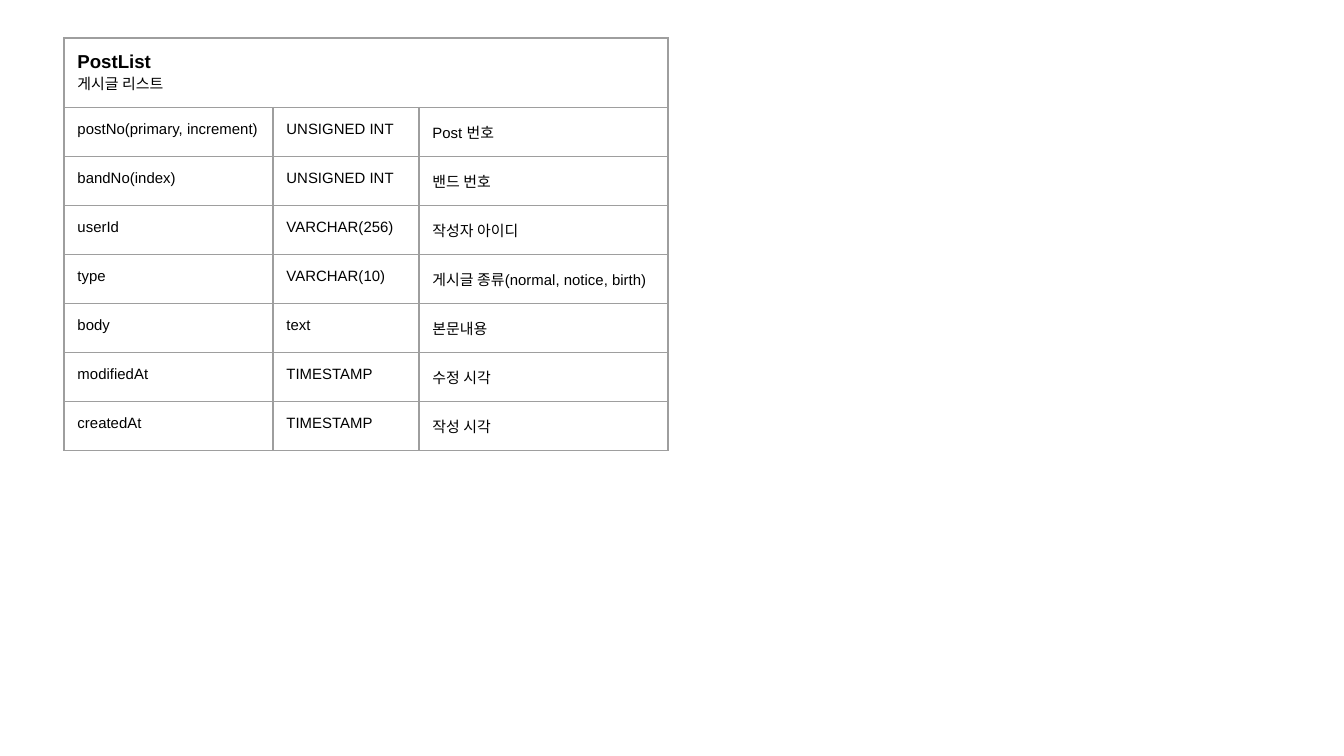
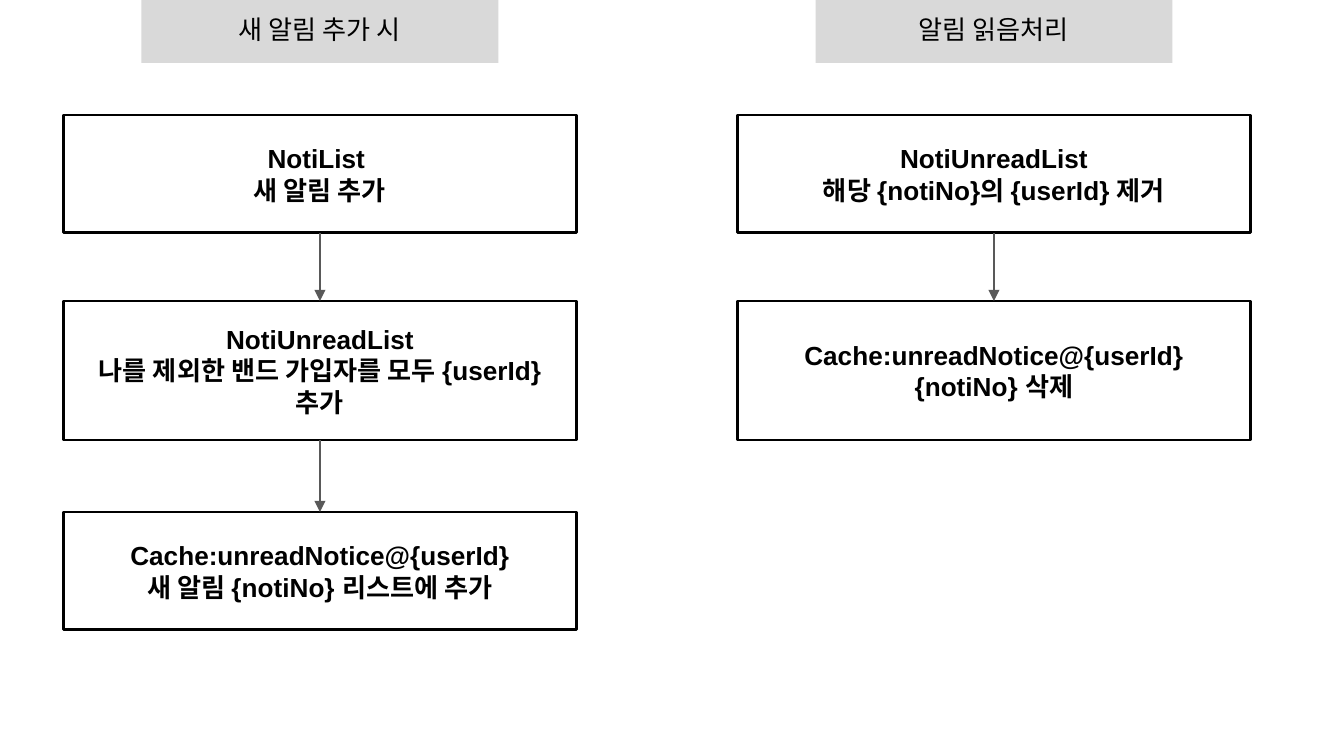
from itertools import pairwise
from lxml import etree
from pptx import Presentation, util as u
from pptx.dml.color import RGBColor
from pptx.enum import shapes, text
from pptx.oxml import parse_xml
from pptx.oxml.ns import nsdecls, qn

SCALE = 914400 / 134.4
FONT = "Arial"
BLACK, BAND, ARROW, GRID = "000000", "D9D9D9", "595959", "9E9E9E"
INSET = u.Inches(0.1)


def px(value):
    return u.Emu(round(value * SCALE))


def write(frame, lines, sizes, bolds, align):
    frame.word_wrap = True
    frame.text = "\n".join(lines)
    for paragraph, size, bold in zip(frame.paragraphs, sizes, bolds):
        paragraph.alignment = align
        paragraph.font.name = FONT
        paragraph.font.size = u.Pt(size)
        paragraph.font.bold = bold
        paragraph.font.color.rgb = RGBColor.from_string(BLACK)


presentation = Presentation()
presentation.slide_width = px(1344)
presentation.slide_height = px(756)
blank = presentation.slide_layouts[6]

fields = [
    ("postNo(primary, increment)", "UNSIGNED INT", "Post 번호"),
    ("bandNo(index)", "UNSIGNED INT", "밴드 번호"),
    ("userId", "VARCHAR(256)", "작성자 아이디"),
    ("type", "VARCHAR(10)", "게시글 종류(normal, notice, birth)"),
    ("body", "text", "본문내용"),
    ("modifiedAt", "TIMESTAMP", "수정 시각"),
    ("createdAt", "TIMESTAMP", "작성 시각"),
]
column_widths = [209, 146, 249]
row_height = 49

slide = presentation.slides.add_slide(blank)
row_count = len(fields) + 1
table = slide.shapes.add_table(
    row_count, 3, px(64), px(38), px(sum(column_widths)), px(row_height * row_count)
).table
table.first_row = False
table.horz_banding = False
for column, width in zip(table.columns, column_widths):
    column.width = px(width)
for row in table.rows:
    row.height = px(row_height)
table.cell(0, 0).merge(table.cell(0, 2))

for cell in table.iter_cells():
    cell.fill.background()
    cell.margin_left = cell.margin_right = INSET
    cell.margin_top = cell.margin_bottom = INSET
    properties = cell._tc.get_or_add_tcPr()
    for position, side in enumerate(["lnL", "lnR", "lnT", "lnB"]):
        properties.insert(position, parse_xml(
            f'<a:{side} {nsdecls("a")} w="9525"><a:solidFill>'
            f'<a:srgbClr val="{GRID}"/></a:solidFill></a:{side}>'
        ))

left = text.PP_ALIGN.LEFT
write(table.cell(0, 0).text_frame, ["PostList", "게시글 리스트"], [10, 8], [True, False], left)
for row_index, field in enumerate(fields, 1):
    for column_index, value in enumerate(field):
        write(table.cell(row_index, column_index).text_frame, [value], [8], [False], left)

flows = [
    ("새 알림 추가 시", [
        ["NotiList ", "새 알림 추가"],
        ["NotiUnreadList", "나를 제외한 밴드 가입자를 모두 {userId} 추가"],
        ["Cache:unreadNotice@{userId}", "새 알림 {notiNo} 리스트에 추가"],
    ]),
    ("알림 읽음처리", [
        ["NotiUnreadList", "해당 {notiNo}의 {userId} 제거"],
        ["Cache:unreadNotice@{userId}", "{notiNo} 삭제"],
    ]),
]
centers = [320, 994]
title_width, title_height, step_width = 357, 63, 513
step_spans = [(115, 118), (301, 139), (512, 118)]

slide = presentation.slides.add_slide(blank)
for center, (title, steps) in zip(centers, flows):
    boxes = [([title], title_width, 0, title_height, True)]
    boxes += [(lines, step_width, top, height, False)
              for lines, (top, height) in zip(steps, step_spans)]
    for lines, width, top, height, is_title in boxes:
        shape = slide.shapes.add_shape(
            shapes.MSO_SHAPE.RECTANGLE, px(center - width / 2), px(top), px(width), px(height)
        )
        shape.shadow.inherit = False
        if is_title:
            shape.fill.solid()
            shape.fill.fore_color.rgb = RGBColor.from_string(BAND)
            shape.line.fill.background()
        else:
            shape.fill.background()
            shape.line.color.rgb = RGBColor.from_string(BLACK)
            shape.line.width = u.Pt(1.5)
        frame = shape.text_frame
        frame.margin_left = frame.margin_right = INSET
        frame.margin_top = frame.margin_bottom = INSET
        frame.vertical_anchor = text.MSO_ANCHOR.TOP if is_title else text.MSO_ANCHOR.MIDDLE
        write(frame, lines, [14, 14], [not is_title] * 2, text.PP_ALIGN.CENTER)

    for (top, height), (next_top, _) in pairwise(step_spans[:len(steps)]):
        arrow = slide.shapes.add_connector(
            shapes.MSO_CONNECTOR.STRAIGHT, px(center), px(top + height), px(center), px(next_top)
        )
        arrow.line.color.rgb = RGBColor.from_string(ARROW)
        arrow.line.width = u.Pt(1.5)
        etree.SubElement(arrow.line._get_or_add_ln(), qn("a:tailEnd"), type="triangle")
        etree.SubElement(arrow._element.spPr, qn("a:effectLst"))

presentation.save("out.pptx")
